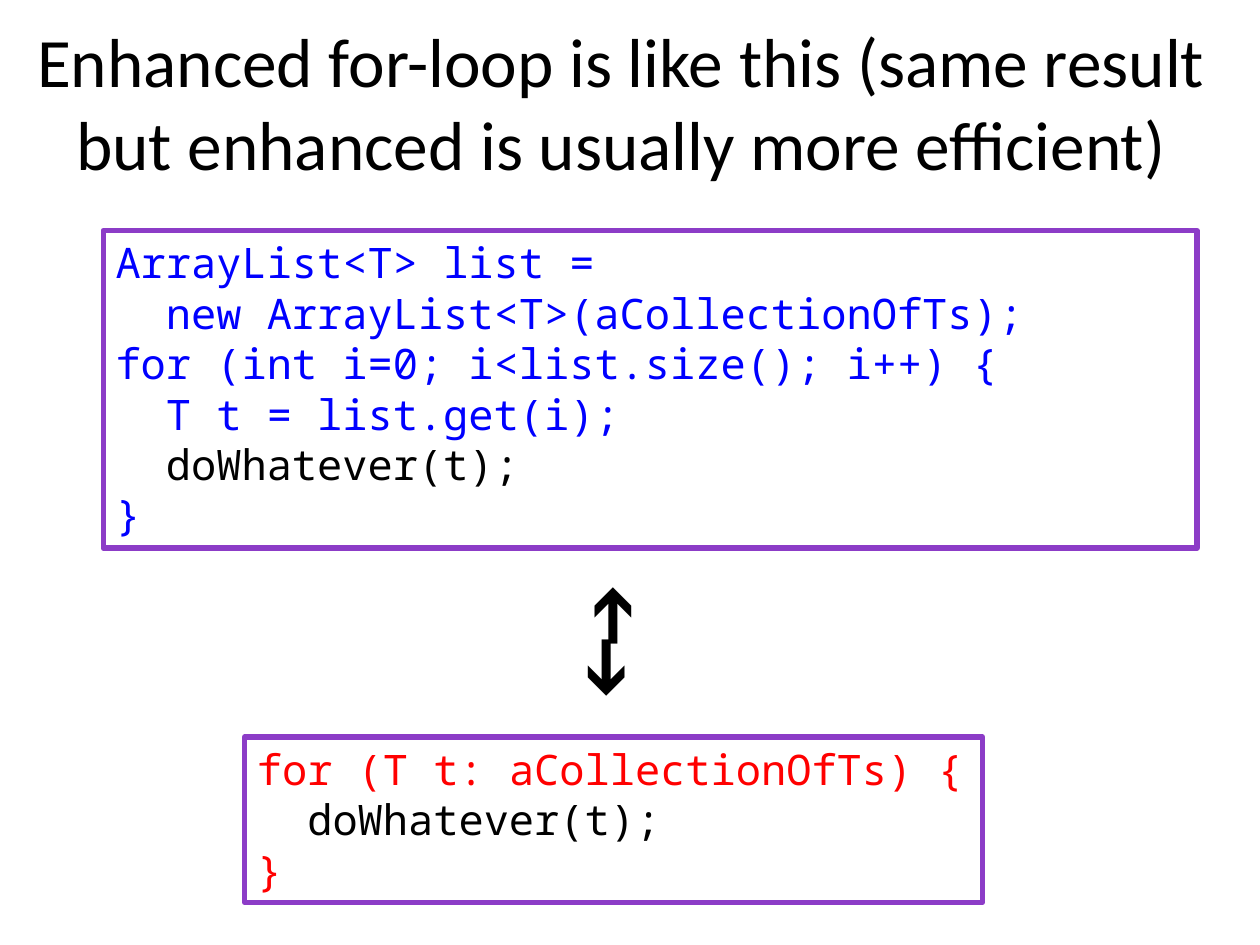
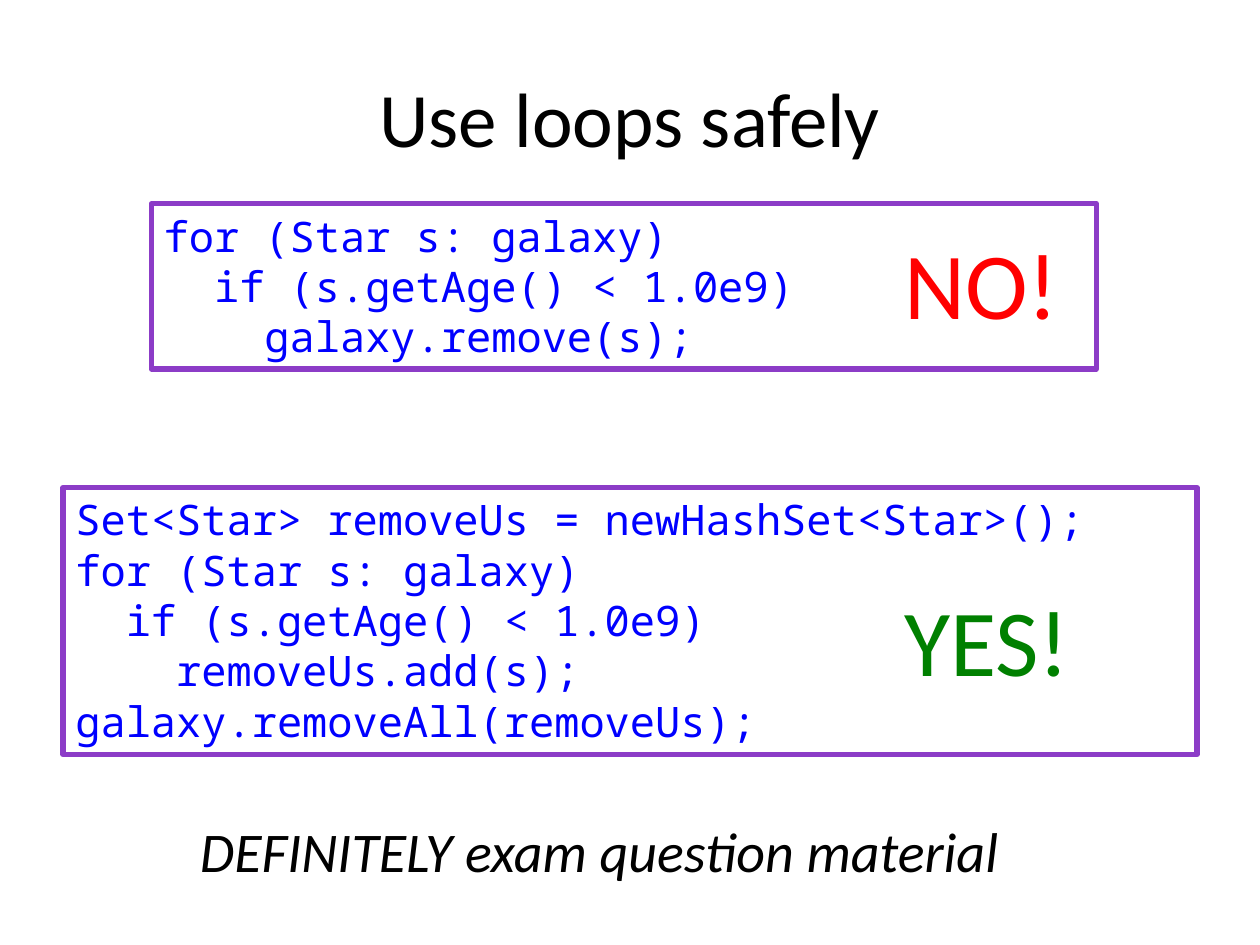
from pptx import Presentation
from pptx.dml.color import RGBColor
from pptx.enum.shapes import MSO_SHAPE
from pptx.enum.text import MSO_ANCHOR, MSO_AUTO_SIZE, PP_ALIGN
from pptx.util import Cm, Pt

RECTANGLE = MSO_SHAPE.RECTANGLE
TOP, MIDDLE = MSO_ANCHOR.TOP, MSO_ANCHOR.MIDDLE
NO_FIT, GROW = MSO_AUTO_SIZE.NONE, MSO_AUTO_SIZE.SHAPE_TO_FIT_TEXT
LEFT, CENTER = PP_ALIGN.LEFT, PP_ALIGN.CENTER

TITLE_ONLY = 5
BODY_FONT, CODE_FONT = "Calibri", "Noto Sans Mono"
BLACK, BLUE, RED, GREEN, PURPLE = "000000", "0000FF", "FF0000", "008000", "8C3CC7"
CODE_SIZE = 24
CODE_INDENT = Pt(2 * 0.6 * CODE_SIZE)  # two monospaced characters


def rgb(hex_color):
    return RGBColor.from_string(hex_color)


def add_run(paragraph, text, size, color, font=BODY_FONT, italic=False):
    run = paragraph.add_run()
    run.text = text
    run.font.name = font
    run.font.size = Pt(size)
    run.font.italic = italic
    run.font.color.rgb = rgb(color)


def add_titled_slide(prs, title, box, size):
    slide = prs.slides.add_slide(prs.slide_layouts[TITLE_ONLY])
    heading = slide.shapes.title
    heading.left, heading.top, heading.width, heading.height = map(Cm, box)
    frame = heading.text_frame
    frame.auto_size = NO_FIT
    frame.word_wrap = True
    frame.vertical_anchor = MIDDLE
    paragraph = frame.paragraphs[0]
    paragraph.alignment = CENTER
    add_run(paragraph, title, size, BLACK)
    return slide


def add_code(slide, box, lines, wrap=True):
    """Framed code; each line is (indent level, text, colour)."""
    panel = slide.shapes.add_shape(RECTANGLE, *map(Cm, box))
    panel.shadow.inherit = False
    panel.fill.background()
    panel.line.color.rgb = rgb(PURPLE)
    panel.line.width = Pt(3)
    frame = panel.text_frame
    frame.word_wrap = wrap
    frame.auto_size = GROW
    frame.vertical_anchor = TOP
    for number, (level, text, color) in enumerate(lines):
        paragraph = frame.add_paragraph() if number else frame.paragraphs[0]
        paragraph.alignment = LEFT
        if level:
            properties = paragraph._p.get_or_add_pPr()
            properties.set("marL", str(level * CODE_INDENT))
            properties.set("indent", "0")
        add_run(paragraph, text, CODE_SIZE, color, CODE_FONT)


def add_label(slide, box, text, size, color=BLACK, italic=False, wrap=False, rotation=0):
    label = slide.shapes.add_textbox(*map(Cm, box))
    label.rotation = rotation
    frame = label.text_frame
    frame.word_wrap = wrap
    frame.auto_size = GROW
    add_run(frame.paragraphs[0], text, size, color, italic=italic)


def build_equivalence_slide(prs):
    slide = add_titled_slide(
        prs,
        "Enhanced for-loop is like this (same result but enhanced is usually more efficient)",
        (0, 0.97, 25.04, 2.16), 39.6)
    add_code(slide, (2.08, 4.65, 22.05, 6.4), [
        (0, "ArrayList<T> list =", BLUE),
        (1, "new ArrayList<T>(aCollectionOfTs);", BLUE),
        (0, "for (int i=0; i<list.size(); i++) {", BLUE),
        (1, "T t = list.get(i);", BLUE),
        (1, "doWhatever(t);", BLACK),
        (0, "}", BLUE),
    ])
    add_code(slide, (4.93, 14.86, 14.88, 3.33), [
        (0, "for (T t: aCollectionOfTs) {", RED),
        (1, "doWhatever(t);", BLACK),
        (0, "}", RED),
    ], wrap=False)
    for left, top, rotation in ((10.49, 13.36, 90), (10.39, 10.41, 270)):
        add_label(slide, (left, top, 3.71, 2.13), "➔", 44, wrap=True, rotation=rotation)


def build_safety_slide(prs):
    slide = add_titled_slide(prs, "Use loops safely", (1.27, 0.76, 22.86, 3.18), 44)
    loop_head = [
        (0, "for (Star s: galaxy)", BLUE),
        (1, "if (s.getAge() < 1.0e9)", BLUE),
    ]
    add_code(slide, (3.05, 4.11, 19.05, 3.33),
             loop_head + [(2, "galaxy.remove(s);", BLUE)])
    add_label(slide, (17.98, 4.42, 3.66, 2.57), "NO!", 54, RED)
    add_code(slide, (1.27, 9.83, 22.86, 5.38), [
        (0, "Set<Star> removeUs = newHashSet<Star>();", BLUE),
        *loop_head,
        (2, "removeUs.add(s);", BLUE),
        (0, "galaxy.removeAll(removeUs);", BLUE),
    ])
    add_label(slide, (17.98, 11.61, 3.91, 2.57), "YES!", 54, GREEN)
    add_label(slide, (3.78, 16.33, 17.2, 1.63),
              "DEFINITELY exam question material", 32, italic=True)


def main():
    prs = Presentation()
    prs.slide_width, prs.slide_height = Cm(25.4), Cm(19.05)
    build_equivalence_slide(prs)
    build_safety_slide(prs)
    prs.save("out.pptx")


if __name__ == "__main__":
    main()
